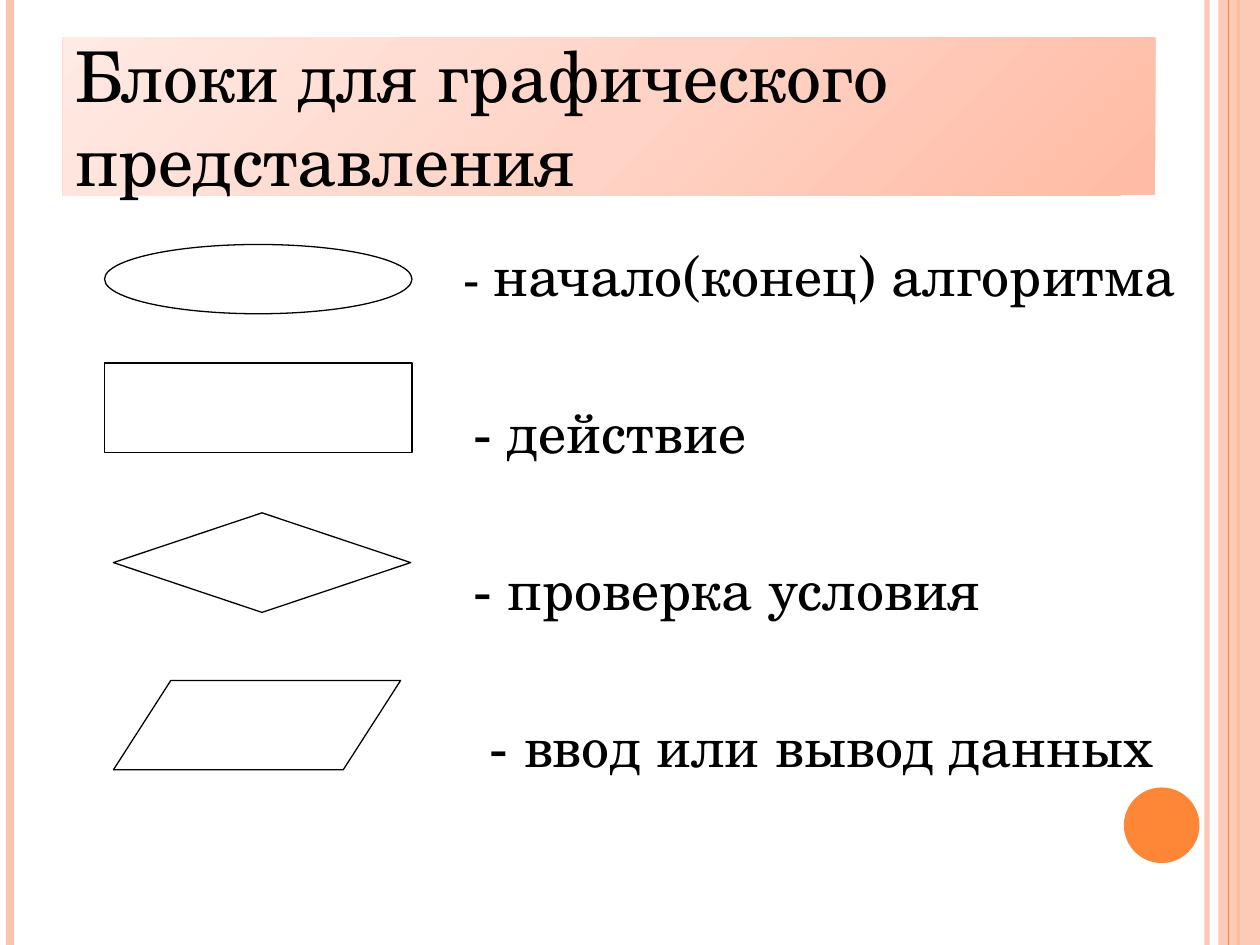
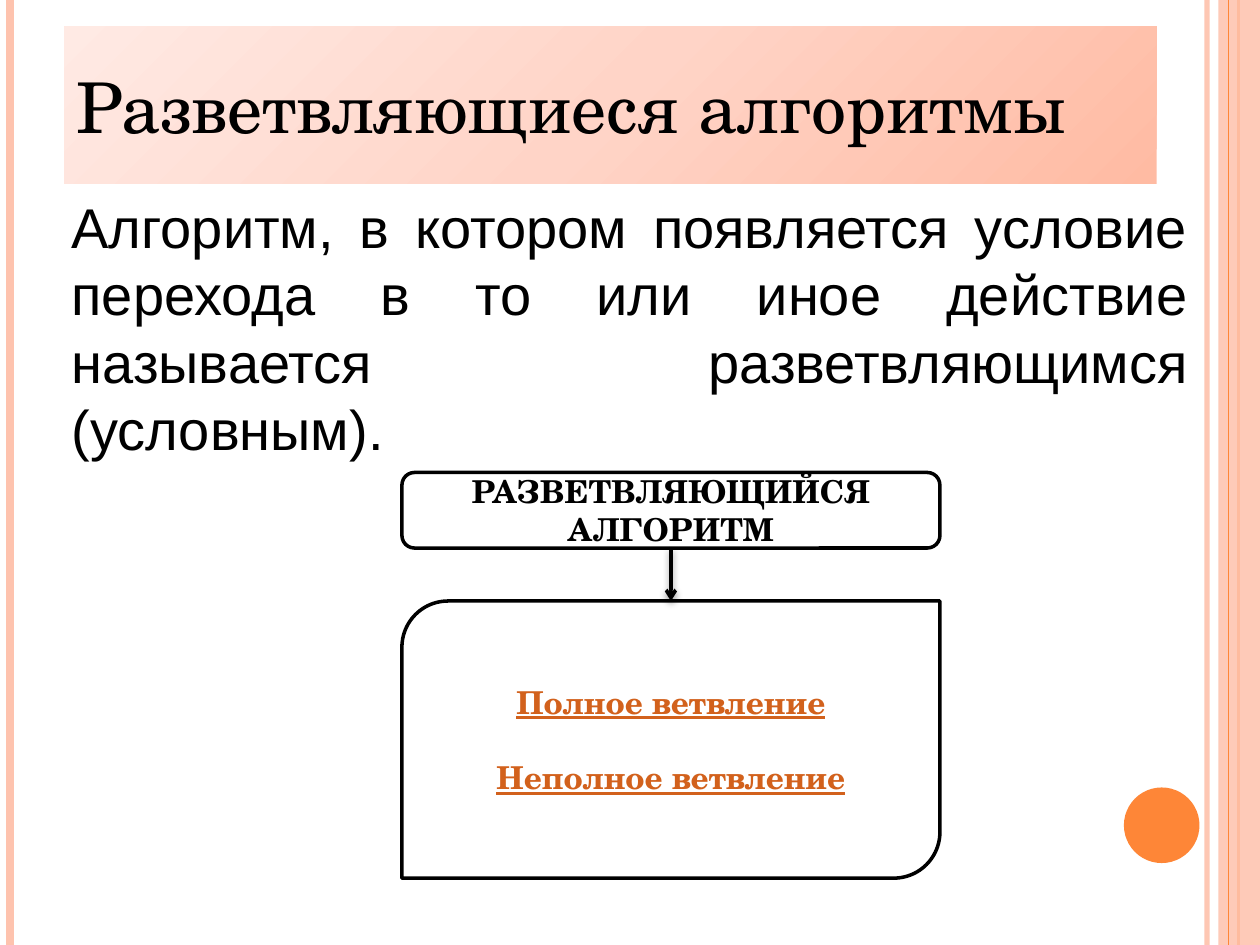
from lxml import etree
from pptx import Presentation
from pptx.dml.color import RGBColor
from pptx.enum.shapes import MSO_CONNECTOR, MSO_SHAPE
from pptx.enum.text import MSO_ANCHOR, MSO_AUTO_SIZE, PP_ALIGN
from pptx.oxml import parse_xml
from pptx.oxml.ns import nsdecls, qn
from pptx.util import Inches, Pt

RECT, OVAL = MSO_SHAPE.RECTANGLE, MSO_SHAPE.OVAL
DECISION = MSO_SHAPE.FLOWCHART_DECISION
DATA = MSO_SHAPE.FLOWCHART_DATA
ROUNDED = MSO_SHAPE.ROUNDED_RECTANGLE
DIAGONAL = MSO_SHAPE.ROUND_2_DIAG_RECTANGLE
STRAIGHT = MSO_CONNECTOR.STRAIGHT
LEFT, CENTER, JUSTIFY = PP_ALIGN.LEFT, PP_ALIGN.CENTER, PP_ALIGN.JUSTIFY
TOP, MIDDLE = MSO_ANCHOR.TOP, MSO_ANCHOR.MIDDLE
GROW = MSO_AUTO_SIZE.SHAPE_TO_FIT_TEXT

BLACK, WHITE = "000000", "FFFFFF"
PEACH, ORANGE, RUST = "FEC3AE", "FE8637", "D2611C"
TITLE_STOPS = ((0, "FFBBA3"), (50, "FFD4C7"), (100, "FFEAE4"))
SERIF, SANS = "TeX Gyre Schola", "Arial"
SLIDE_WIDTH, SLIDE_HEIGHT = 10, 7.5


def color(value):
    return RGBColor.from_string(value)


def set_alpha(fill_parent, percent):
    """Make the solid fill inside an element partly transparent."""
    swatch = next(fill_parent.iter(qn("a:srgbClr")))
    etree.SubElement(swatch, qn("a:alpha")).set("val", str(percent * 1000))


class Deck:
    def __init__(self):
        self.file = Presentation()
        self.file.slide_width = Inches(SLIDE_WIDTH)
        self.file.slide_height = Inches(SLIDE_HEIGHT)
        self.page = None

    def new_page(self, title, left, top):
        self.page = self.file.slides.add_slide(self.file.slide_layouts[6])
        # Side bands and the page circle
        self.line(9.58, 0, 9.58, SLIDE_HEIGHT, PEACH, 3, alpha=93)
        self.line(0.08, 0, 0.08, SLIDE_HEIGHT, PEACH, 4.5)
        self.line(9.83, 0, 9.83, SLIDE_HEIGHT, ORANGE, 1.5)
        band = self.shape(RECT, 9.67, 0, 0.33, SLIDE_HEIGHT, fill=PEACH)
        set_alpha(band._element.spPr, 87)
        self.line(9.75, 0, 9.75, SLIDE_HEIGHT, ORANGE, 0.75)
        self.shape(OVAL, 8.92, 6.25, 0.6, 0.6, fill=ORANGE)
        # Title on a gradient panel
        panel = self.shape(RECT, left, top, 8.67, 1.25)
        self.gradient(panel)
        self.add_text(panel, LEFT, [[(title, 40)]])

    def shape(self, kind, left, top, width, height, fill=None, line=None, weight=0.75):
        item = self.page.shapes.add_shape(
            kind, Inches(left), Inches(top), Inches(width), Inches(height))
        item.shadow.inherit = False
        if fill:
            item.fill.solid()
            item.fill.fore_color.rgb = color(fill)
        else:
            item.fill.background()
        if line:
            item.line.color.rgb = color(line)
            item.line.width = Pt(weight)
        else:
            item.line.fill.background()
        return item

    def gradient(self, item):
        stops = "".join(
            f'<a:gs pos="{position * 1000}"><a:srgbClr val="{value}"/></a:gs>'
            for position, value in TITLE_STOPS)
        properties = item._element.spPr
        old_fill = properties.find(qn("a:noFill"))
        properties.replace(old_fill, parse_xml(
            f'<a:gradFill {nsdecls("a")} rotWithShape="1"><a:gsLst>{stops}</a:gsLst>'
            '<a:lin ang="13500000" scaled="0"/></a:gradFill>'))

    def line(self, x1, y1, x2, y2, stroke, weight, alpha=None):
        item = self.page.shapes.add_connector(
            STRAIGHT, Inches(x1), Inches(y1), Inches(x2), Inches(y2))
        item.line.color.rgb = color(stroke)
        item.line.width = Pt(weight)
        if alpha:
            set_alpha(item._element.spPr, alpha)
        etree.SubElement(item._element.spPr, qn("a:effectLst"))
        return item

    def arrow(self, start, x, top, bottom):
        """Arrow with a soft shadow, leaving the bottom of a box."""
        item = self.line(x, top, x, bottom, BLACK, 2)
        item.begin_connect(start, 2)
        properties = item._element.spPr
        etree.SubElement(properties.find(qn("a:ln")), qn("a:tailEnd")).set("type", "arrow")
        properties.find(qn("a:effectLst")).append(parse_xml(
            f'<a:outerShdw {nsdecls("a")} blurRad="{Pt(4)}" dist="{Pt(2)}" dir="5400000"'
            ' rotWithShape="0"><a:srgbClr val="000000"><a:alpha val="40000"/></a:srgbClr>'
            '</a:outerShdw>'))

    def text_box(self, left, top, width, height):
        return self.page.shapes.add_textbox(
            Inches(left), Inches(top), Inches(width), Inches(height))

    def add_text(self, box, align, paragraphs, font=SERIF, ink=BLACK, bold=False,
                 underline=False, gap=0, anchor=MIDDLE, indents=None):
        """Each paragraph is a list of (text, size) spans."""
        frame = box.text_frame
        frame.word_wrap = True
        frame.vertical_anchor = anchor
        for index, spans in enumerate(paragraphs):
            para = frame.add_paragraph() if index else frame.paragraphs[0]
            para.alignment = align
            if index and gap:
                para.space_before = Pt(gap)
            if indents:
                para._p.get_or_add_pPr().set("marL", str(Inches(indents[index])))
            for text, size in spans:
                span = para.add_run()
                span.text = text
                span.font.name = font
                span.font.size = Pt(size)
                span.font.bold = bold
                span.font.underline = underline
                span.font.color.rgb = color(ink)


def build_blocks_page(deck):
    deck.new_page("Блоки для графического представления", 0.5, 0.3)
    # Meanings of the symbols
    meanings = deck.text_box(3.58, 1.86, 6.14, 4.7)
    deck.add_text(meanings, JUSTIFY, [
        [("- ", 28), ("начало(конец) алгоритма", 32)],
        [("- действие", 32)],
        [("- проверка условия", 32)],
        [("- ввод или вывод данных", 32)],
    ], gap=51.3, anchor=TOP, indents=(0, 0.08, 0.08, 0.21))
    # Flowchart symbols
    for kind, left, top, width, height in (
            (OVAL, 0.83, 1.94, 2.44, 0.55),
            (RECT, 0.83, 2.88, 2.44, 0.71),
            (DECISION, 0.9, 4.07, 2.36, 0.79),
            (DATA, 0.9, 5.4, 2.28, 0.71)):
        deck.shape(kind, left, top, width, height, line=BLACK)


def build_branching_page(deck):
    deck.new_page("Разветвляющиеся алгоритмы", 0.51, 0.21)
    # Definition
    definition = deck.text_box(0.47, 1.48, 9.06, 2.26)
    deck.add_text(definition, JUSTIFY, [[(
        "Алгоритм, в котором появляется условие перехода в то или иное действие "
        "называется разветвляющимся (условным).", 32)]], font=SANS, anchor=TOP)
    definition.text_frame.auto_size = GROW
    # Algorithm and its two kinds
    left, width = 3.19, 4.27
    algorithm = deck.shape(ROUNDED, left, 3.75, width, 0.6, WHITE, BLACK, 2)
    deck.add_text(algorithm, CENTER, [[("РАЗВЕТВЛЯЮЩИЙСЯ АЛГОРИТМ", 18)]], bold=True)
    kinds = deck.shape(DIAGONAL, left, 4.77, width, 2.2, WHITE, BLACK, 2)
    deck.add_text(kinds, CENTER, [[("Полное ветвление", 18)], [("Неполное ветвление", 18)]],
                  ink=RUST, bold=True, underline=True, gap=21.5)
    deck.arrow(algorithm, left + width / 2, 4.35, 4.77)


def main():
    deck = Deck()
    build_blocks_page(deck)
    build_branching_page(deck)
    deck.file.save("out.pptx")


if __name__ == "__main__":
    main()
